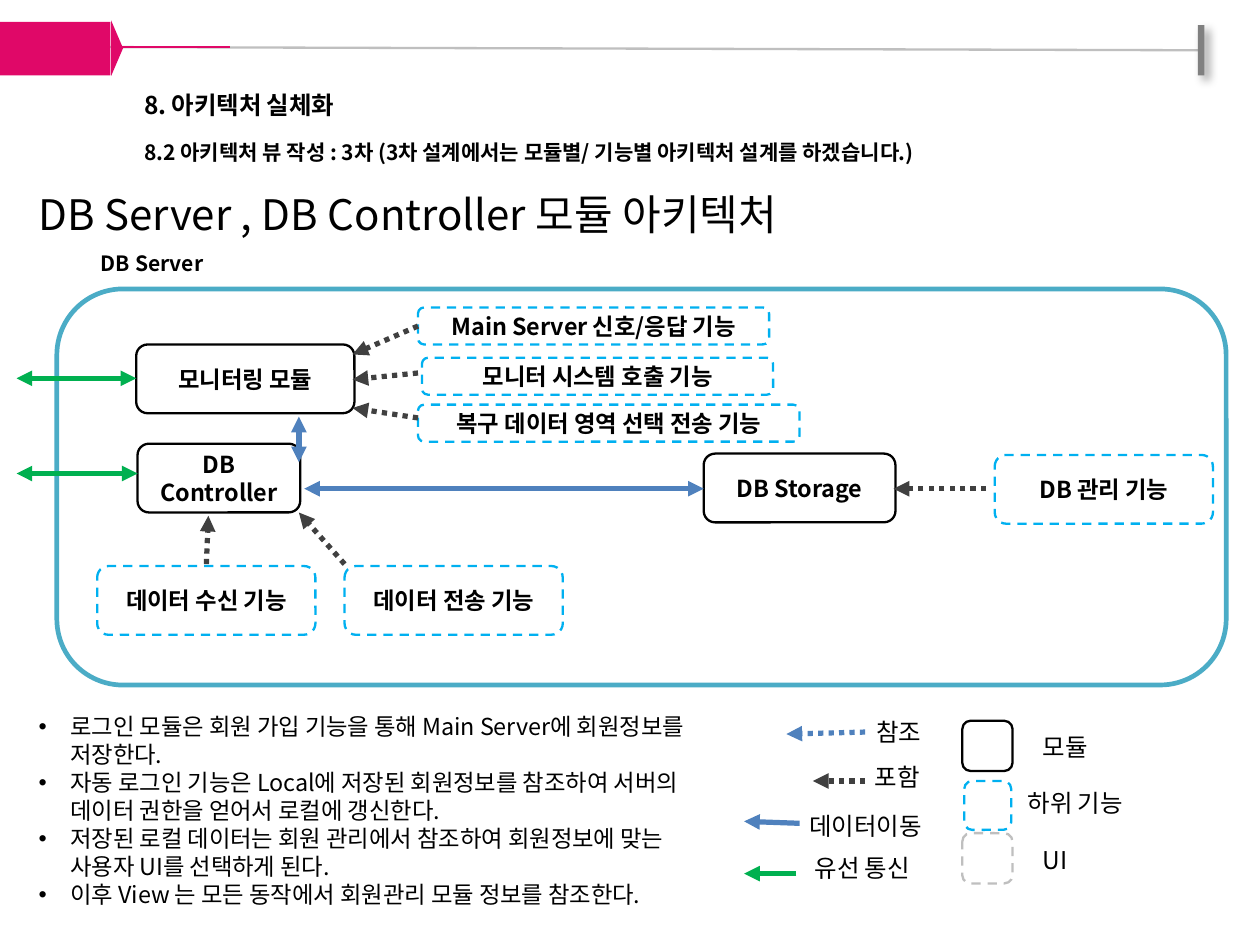
"""Build the DB Server and DB Controller module architecture slide."""
from typing import NamedTuple, Optional

from lxml.etree import SubElement
from pptx import Presentation
from pptx.dml.color import RGBColor
from pptx.enum.dml import MSO_LINE as Dash
from pptx.enum.shapes import MSO_CONNECTOR as Link, MSO_SHAPE as Preset
from pptx.enum.text import MSO_ANCHOR as Anchor, MSO_AUTO_SIZE as AutoSize, PP_ALIGN as Align
from pptx.oxml.ns import qn
from pptx.util import Cm, Pt

FONT = "Noto Sans CJK KR"
BLACK = RGBColor(0x00, 0x00, 0x00)
WHITE = RGBColor(0xFF, 0xFF, 0xFF)
PINK = RGBColor(0xE0, 0x08, 0x68)
SILVER = RGBColor(0xBF, 0xBF, 0xBF)
GRAY = RGBColor(0x80, 0x80, 0x80)
CHARCOAL = RGBColor(0x40, 0x40, 0x40)
TEAL = RGBColor(0x4B, 0xAC, 0xC6)
SKY = RGBColor(0x00, 0xB0, 0xF0)
BLUE = RGBColor(0x4F, 0x81, 0xBD)
GREEN = RGBColor(0x00, 0xB0, 0x50)


class Area(NamedTuple):
    left: float
    top: float
    width: float
    height: float


class Box(NamedTuple):
    area: Area
    text: str = ""
    outline: RGBColor = BLACK
    dash: Optional[Dash] = None
    weight: float = 1


class Arrow(NamedTuple):
    start: tuple[float, float]
    end: tuple[float, float]
    color: RGBColor
    dash: Optional[Dash] = None
    both: bool = False


class Label(NamedTuple):
    text: str
    left: float
    top: float
    width: float


DOT, DASHED = Dash.ROUND_DOT, Dash.DASH
BOX_H, THIN_H = 1.04, 0.56

FRAME = Box(Area(0.86, 4.37, 17.68, 5.99), outline=TEAL, weight=2)
BOXES = [
    Box(Area(10.64, 6.86, 2.9, BOX_H), "DB Storage"),
    Box(Area(2.08, 6.71, 2.46, BOX_H), "DB Controller"),
    Box(Area(2.06, 5.21, 3.3, BOX_H), "모니터링 모듈"),
    Box(Area(15.04, 6.88, 3.3, BOX_H), "DB 관리 기능", SKY, DASHED),
    Box(Area(6.32, 4.65, 5.31, THIN_H), "Main Server 신호/응답 기능", SKY, DASHED),
    Box(Area(6.38, 5.41, 5.31, THIN_H), "모니터 시스템 호출 기능", SKY, DASHED),
    Box(Area(6.32, 6.12, 5.77, THIN_H), "복구 데이터 영역 선택 전송 기능", SKY, DASHED),
    Box(Area(1.47, 8.56, 3.3, BOX_H), "데이터 수신 기능", SKY, DASHED),
    Box(Area(5.21, 8.56, 3.3, BOX_H), "데이터 전송 기능", SKY, DASHED),
    Box(Area(14.55, 10.9, 0.76, 0.76)),
    Box(Area(14.58, 11.81, 0.71, 0.74), outline=SKY, dash=DASHED),
    Box(Area(14.55, 12.6, 0.76, 0.76), outline=SILVER, dash=DASHED),
]
ARROWS = [
    Arrow((6.32, 4.93), (5.33, 5.36), CHARCOAL, DOT),
    Arrow((6.32, 5.64), (5.33, 5.74), CHARCOAL, DOT),
    Arrow((6.32, 6.32), (5.33, 6.17), CHARCOAL, DOT),
    Arrow((14.91, 7.39), (13.51, 7.39), CHARCOAL, DOT),
    Arrow((3.12, 8.53), (3.15, 7.8), CHARCOAL, DOT),
    Arrow((5.21, 8.53), (4.52, 7.75), CHARCOAL, DOT),
    Arrow((4.52, 6.3), (4.52, 6.99), BLUE, both=True),
    Arrow((4.6, 7.39), (10.64, 7.39), BLUE, both=True),
    Arrow((0.25, 5.72), (2.06, 5.72), GREEN, both=True),
    Arrow((0.25, 7.16), (2.08, 7.16), GREEN, both=True),
    Arrow((13.08, 11.07), (11.89, 11.1), BLUE, DOT),
    Arrow((13.08, 11.81), (12.29, 11.81), CHARCOAL, DOT),
    Arrow((12.09, 12.45), (11.25, 12.42), BLUE),
    Arrow((12.04, 13.21), (11.25, 13.21), GREEN),
]
LABELS = [
    Label("참조", 13, 10.72, 1.3),
    Label("포함", 12.98, 11.4, 1.27),
    Label("데이터이동", 11.99, 12.14, 2.39),
    Label("유선 통신", 12.07, 12.78, 2.13),
    Label("모듈", 15.52, 10.95, 1.27),
    Label("하위 기능", 15.29, 11.79, 2.13),
    Label("UI", 15.52, 12.65, 0.89),
]
NOTES = [
    "로그인 모듈은 회원 가입 기능을 통해 Main Server에 회원정보를 저장한다.",
    "자동 로그인 기능은 Local에 저장된 회원정보를 참조하여 서버의 데이터 권한을 얻어서 로컬에 갱신한다.",
    "저장된 로컬 데이터는 회원 관리에서 참조하여 회원정보에 맞는 사용자 UI를 선택하게 된다.",
    "이후 View 는 모든 동작에서 회원관리 모듈 정보를 참조한다.",
]


def lengths(area: Area) -> list[Cm]:
    return [Cm(value) for value in area]


def style(paragraph, size: float, bold: bool = False, align: Align = Align.LEFT) -> None:
    paragraph.alignment = align
    font = paragraph.font
    font.name, font.size, font.bold = FONT, Pt(size), bold
    font.color.rgb = BLACK
    SubElement(paragraph._p.pPr.find(qn("a:defRPr")), qn("a:ea"), typeface=FONT)


def add_solid(slide, preset: Preset, area: Area, fill: RGBColor):
    solid = slide.shapes.add_shape(preset, *lengths(area))
    solid.shadow.inherit = False
    solid.fill.solid()
    solid.fill.fore_color.rgb = fill
    solid.line.fill.background()
    return solid


def add_box(slide, box: Box) -> None:
    shape = add_solid(slide, Preset.ROUNDED_RECTANGLE, box.area, WHITE)
    shape.line.color.rgb = box.outline
    shape.line.width = Pt(box.weight)
    if box.dash:
        shape.line.dash_style = box.dash
    if box.text:
        shape.text_frame.text = box.text
        shape.text_frame.vertical_anchor = Anchor.MIDDLE
        style(shape.text_frame.paragraphs[0], 10, True, Align.CENTER)


def add_line(slide, start, end, color: RGBColor, weight: float):
    connector = slide.shapes.add_connector(Link.STRAIGHT, *(Cm(v) for v in (*start, *end)))
    connector.line.color.rgb = color
    connector.line.width = Pt(weight)
    SubElement(connector._element.spPr, qn("a:effectLst"))
    return connector


def add_arrow(slide, arrow: Arrow) -> None:
    connector = add_line(slide, arrow.start, arrow.end, arrow.color, 2.25)
    if arrow.dash:
        connector.line.dash_style = arrow.dash
    for tip in ("a:headEnd", "a:tailEnd") if arrow.both else ("a:tailEnd",):
        SubElement(connector.line._ln, qn(tip), type="triangle")


def add_text(slide, area: Area, text: str, wrap: bool = True):
    frame = slide.shapes.add_textbox(*lengths(area)).text_frame
    frame.text = text
    frame.word_wrap = wrap
    frame.auto_size = AutoSize.SHAPE_TO_FIT_TEXT
    return frame.paragraphs


def fill_placeholder(holder, area: Area, text: str):
    holder.left, holder.top, holder.width, holder.height = lengths(area)
    frame = holder.text_frame
    frame.text = text
    frame.word_wrap = True
    frame.auto_size = AutoSize.NONE
    frame.vertical_anchor = Anchor.TOP
    return frame.paragraphs


def add_banner(slide) -> None:
    add_line(slide, (0.97, 0.71), (18.11, 0.76), SILVER, 1)
    bar = add_solid(slide, Preset.RECTANGLE, Area(18.11, 0.38, 0.1, 0.76), GRAY)
    effects = bar._element.spPr.find(qn("a:effectLst"))
    shadow = SubElement(effects, qn("a:outerShdw"), blurRad=str(Pt(4)), dist=str(Pt(3)), dir="2700000")
    shade = SubElement(shadow, qn("a:srgbClr"), val=str(BLACK))
    SubElement(shade, qn("a:alpha"), val="40000")
    add_line(slide, (1.73, 0.71), (3.48, 0.71), PINK, 1)
    add_solid(slide, Preset.ISOSCELES_TRIANGLE, Area(1.35, 0.64, 0.84, 0.18), PINK).rotation = 90
    add_solid(slide, Preset.RECTANGLE, Area(-0.03, 0.33, 1.7, 0.81), PINK)


def main() -> None:
    deck = Presentation()
    deck.slide_width, deck.slide_height = Cm(19.05), Cm(14.29)
    slide = deck.slides.add_slide(deck.slide_layouts[1])
    title, body = slide.placeholders
    add_banner(slide)

    heading, view = add_text(
        slide, Area(1.93, 1.24, 14.2, 1.4),
        "8. 아키텍처 실체화\n8.2 아키텍처 뷰 작성 : 3차 (3차 설계에서는 모듈별/ 기능별 아키텍처 설계를 하겠습니다.)")
    view.space_before = Pt(8.4)
    style(heading, 10.5, True)
    style(view, 9, True)
    style(fill_placeholder(title, Area(0.33, 2.72, 12.22, 1.02),
                           "DB Server , DB Controller 모듈 아키텍처")[0], 18)
    for note in fill_placeholder(body, Area(0.33, 10.64, 10.39, 3.68), "\n".join(NOTES)):
        note.space_before = Pt(0)
        properties = note._p.get_or_add_pPr()
        properties.set("marL", str(Cm(0.48)))
        properties.set("indent", str(Cm(-0.48)))
        SubElement(properties, qn("a:buFont"), typeface="Arial")
        SubElement(properties, qn("a:buChar"), char="•")
        style(note, 10)

    add_box(slide, FRAME)
    style(add_text(slide, Area(0.74, 3.66, 3.12, 0.64), "DB Server")[0], 9, True, Align.CENTER)
    for box in BOXES:
        add_box(slide, box)
    for arrow in ARROWS:
        add_arrow(slide, arrow)
    for label in LABELS:
        area = Area(label.left, label.top, label.width, 0.71)
        style(add_text(slide, area, label.text, wrap=False)[0], 10.5)
    deck.save("out.pptx")


if __name__ == "__main__":
    main()
